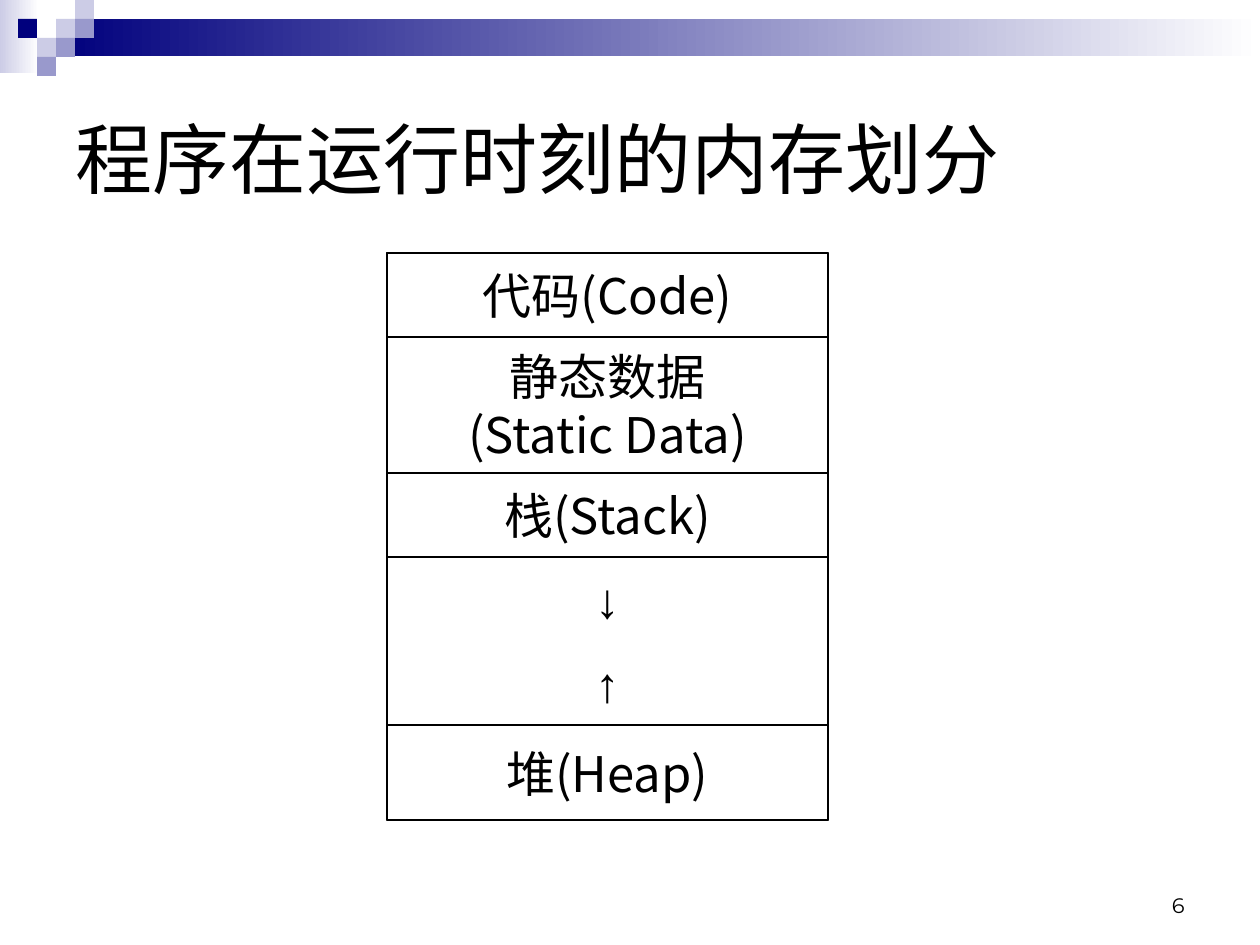
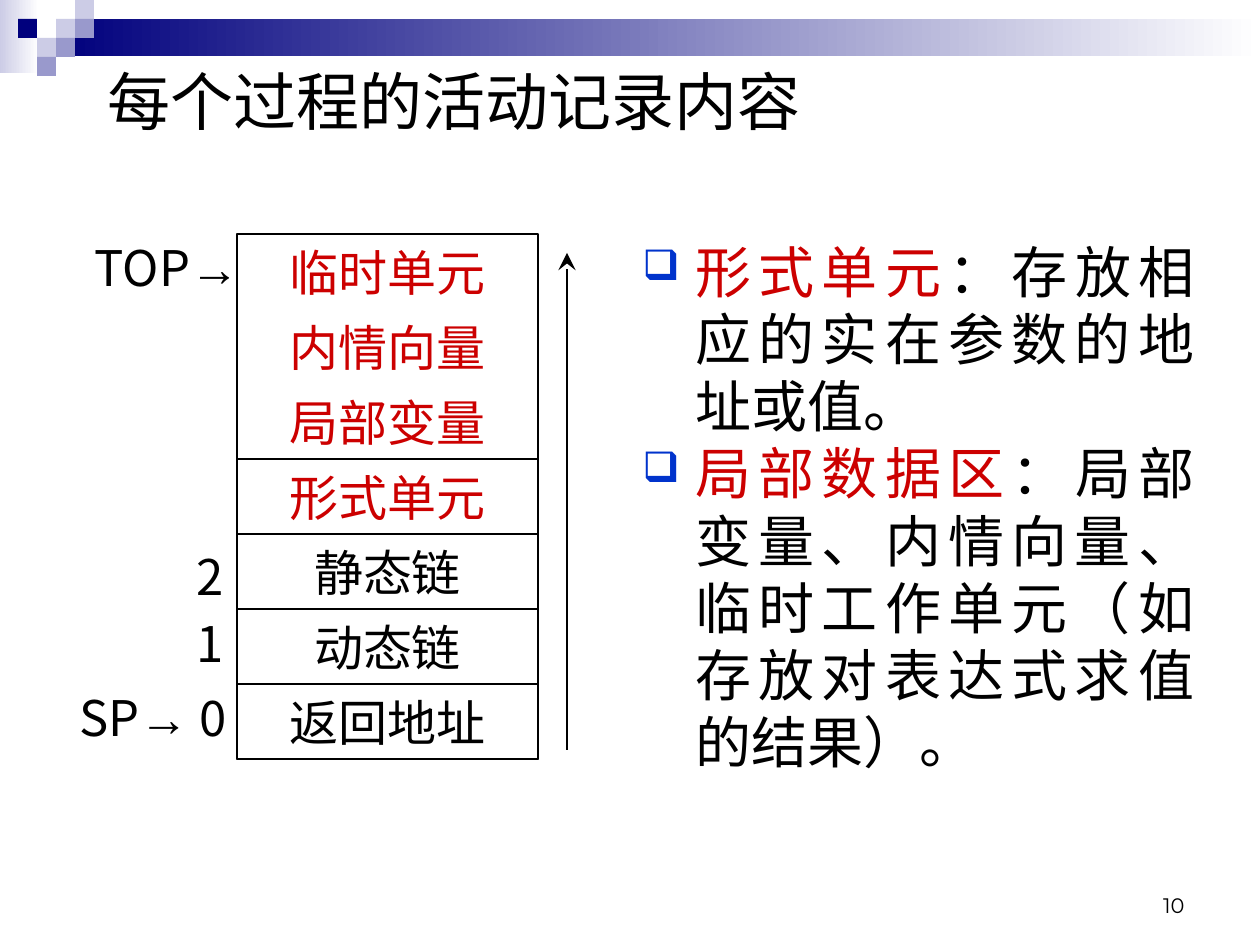
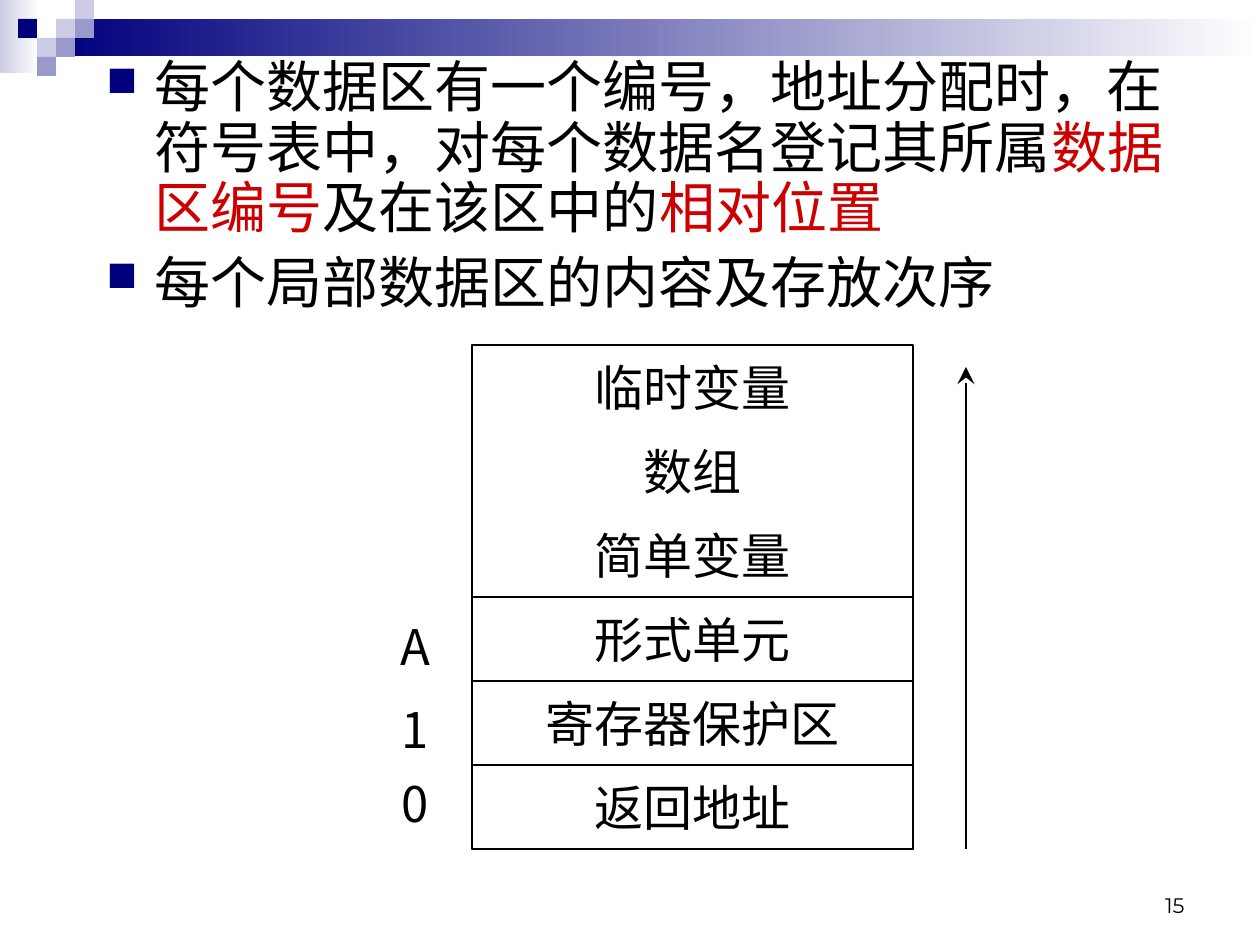
from dataclasses import dataclass

from pptx import Presentation
from pptx.dml.color import RGBColor as RGB
from pptx.enum.shapes import MSO_CONNECTOR as CONN, MSO_SHAPE as SHAPE
from pptx.enum.text import MSO_ANCHOR as ANCHOR, PP_ALIGN as ALIGN
from pptx.oxml.ns import qn
from pptx.util import Pt
from lxml.etree import SubElement as Sub

EMU_PER_PX = 914400 / 126


@dataclass(frozen=True)
class Theme:
    black: str = "000000"
    white: str = "FFFFFF"
    navy: str = "00007D"
    violet: str = "9999CC"
    pale: str = "CCCCE6"
    red: str = "CC0000"
    blue: str = "0033CC"
    cjk: str = "Noto Sans CJK SC"
    sans: str = "Arial"
    serif: str = "Times New Roman"
    number: str = "Montserrat"
    title: int = 44
    small_title: int = 36
    body: int = 32
    cell: int = 28
    page: int = 12
    line: float = 1.5


T = Theme()
CELL = {"size": T.cell, "font": T.cjk}
RED_CELL = CELL | {"color": T.red}
ARROW = {"size": T.cell, "font": T.sans, "east": T.sans}


def px(*lengths):
    return [round(n * EMU_PER_PX) for n in lengths]


def set_all(obj, values):
    for name, value in values.items():
        setattr(obj, name, value)


# Text
def add_run(p, text, size, font, color=T.black, east=T.cjk):
    r = p.add_run()
    r.text = text
    set_all(r.font, {"size": Pt(size), "name": font})
    r.font.color.rgb = RGB.from_string(color)
    Sub(r.font._element, qn("a:ea"), typeface=east)


def add_bullet(p, char, color, indent):
    pPr = p._p.get_or_add_pPr()
    width = px(indent)[0]
    pPr.set("marL", str(width))
    pPr.set("indent", str(-width))
    Sub(Sub(pPr, qn("a:buClr")), qn("a:srgbClr"), val=color)
    Sub(pPr, qn("a:buSzPct"), val="75000")
    Sub(pPr, qn("a:buChar"), char=char)


def fill_text(sp, paragraphs, frame=None, para=None, bullet=None):
    """Each paragraph is a list of (text, style) runs."""
    tf = sp.text_frame
    set_all(tf, {"word_wrap": True, "vertical_anchor": ANCHOR.TOP} | (frame or {}))
    for i, runs in enumerate(paragraphs):
        p = tf.add_paragraph() if i else tf.paragraphs[0]
        if bullet:
            add_bullet(p, **bullet)
        set_all(p, {"alignment": ALIGN.LEFT} | (para or {}))
        for text, style in runs:
            add_run(p, text, **style)
    return tf


def add_text(s, box, paragraphs, **formats):
    return fill_text(s.shapes.add_textbox(*px(*box)), paragraphs, **formats)


def add_title(s, box, text, size):
    add_text(s, box, [[(text, {"size": size, "font": T.sans})]],
             frame={"vertical_anchor": ANCHOR.MIDDLE})


def label_format(align=ALIGN.CENTER):
    return {"frame": {"word_wrap": False, "vertical_anchor": ANCHOR.MIDDLE},
            "para": {"alignment": align}}


def add_label(s, box, runs, align=ALIGN.CENTER):
    add_text(s, box, [runs], **label_format(align))


# Shapes
def add_rect(s, box, colors=()):
    """No colour gives an outlined box, one a solid, two a gradient."""
    sp = s.shapes.add_shape(SHAPE.RECTANGLE, *px(*box))
    sp.shadow.inherit = False
    if not colors:
        sp.fill.background()
        sp.line.color.rgb = RGB.from_string(T.black)
        sp.line.width = Pt(T.line)
        return sp
    sp.line.fill.background()
    if len(colors) == 1:
        sp.fill.solid()
        sp.fill.fore_color.rgb = RGB.from_string(colors[0])
    else:
        sp.fill.gradient()
        sp.fill.gradient_angle = 0
        for stop, color in zip(sp.fill.gradient_stops, colors):
            stop.color.rgb = RGB.from_string(color)
    return sp


def add_up_arrow(s, x, bottom, top):
    line = s.shapes.add_connector(CONN.STRAIGHT, *px(x, bottom, x, top))
    line.line.color.rgb = RGB.from_string(T.black)
    line.line.width = Pt(T.line)
    Sub(line.line._get_or_add_ln(), qn("a:tailEnd"), type="stealth", w="lg", len="lg")
    Sub(line._element.spPr, qn("a:effectLst"))


def add_memory(s, left, top, width, rows):
    """Stack rows of (lines, style, height, boxed) inside one frame."""
    y = top
    for lines, style, height, boxed in rows:
        box = (left, y, width, height)
        sp = add_rect(s, box) if boxed else s.shapes.add_textbox(*px(*box))
        fill_text(sp, [[(line, style)] for line in lines], **label_format())
        y += height
    add_rect(s, (left, top, width, y - top))


# Shared band, corner squares and page number
def new_slide(prs, page):
    s = prs.slides.add_slide(prs.slide_layouts[6])
    add_rect(s, (0, 0, 39, 73), (T.pale, T.white))
    add_rect(s, (57, 19, 1203, 37), (T.navy, T.white))
    unit = 19
    for col, row, color in ((3, 1, T.pale), (4, 0, T.pale), (4, 1, T.violet),
                            (2, 2, T.pale), (1, 1, T.navy), (3, 2, T.violet),
                            (2, 3, T.violet)):
        add_rect(s, (col * unit - 1, row * unit, unit, unit), (color,))
    add_text(s, (903, 861, 294, 63),
             [[(str(page), {"size": T.page, "font": T.number})]],
             frame={"vertical_anchor": ANCHOR.BOTTOM},
             para={"alignment": ALIGN.RIGHT})
    return s


def runtime_memory(prs):
    s = new_slide(prs, 6)
    add_title(s, (63, 63, 1134, 189), "程序在运行时刻的内存划分", T.title)
    add_memory(s, 387, 253, 441, [
        (["代码(Code)"], CELL, 84, True),
        (["静态数据", "(Static Data)"], CELL, 136, True),
        (["栈(Stack)"], CELL, 84, True),
        (["↓"], ARROW, 84, False),
        (["↑"], ARROW, 84, False),
        (["堆(Heap)"], CELL, 95, True),
    ])


def activation_record(prs):
    s = new_slide(prs, 10)
    add_title(s, (95, 21, 1071, 158), "每个过程的活动记录内容", T.small_title)
    body = {"size": T.body, "font": T.serif}
    key = body | {"color": T.red}
    add_text(s, (630, 231, 577, 630), [
        [("形式单元", key), ("：存放相应的实在参数的地址或值。", body)],
        [("局部数据区", key),
         ("：局部变量、内情向量、临时工作单元（如存放对表达式求值的结果）。", body)],
    ], para={"alignment": ALIGN.JUSTIFY},
        bullet={"char": "❑", "color": T.blue, "indent": 53})
    open_rows = ["临时单元", "内情向量", "局部变量"]
    links = ["静态链", "动态链", "返回地址"]
    add_memory(s, 237, 234, 301,
               [([name], RED_CELL, 75, False) for name in open_rows]
               + [(["形式单元"], RED_CELL, 75, True)]
               + [([name], CELL, 75, True) for name in links])
    # Pointer labels, wide enough for one line each
    add_label(s, (67, 234, 200, 66), [("TOP", CELL), ("→", ARROW)])
    for y, offset in ((543, "2"), (610, "1")):
        add_label(s, (157, y, 79, 66), [(offset, CELL)], ALIGN.RIGHT)
    add_label(s, (53, 684, 200, 66), [("SP", CELL), ("→", ARROW), (" 0", CELL)])
    add_up_arrow(s, 567, 750, 253)


def data_area(prs):
    s = new_slide(prs, 15)
    body = {"size": T.body, "font": T.sans}
    key = body | {"color": T.red}
    tf = add_text(s, (94, 53, 1102, 281), [
        [("每个数据区有一个编号，地址分配时，在符号表中，对每个数据名登记其所属", body),
         ("数据区编号", key), ("及在该区中的", body), ("相对位置", key)],
        [("每个局部数据区的内容及存放次序", body)],
    ], para={"line_spacing": 0.9},
        bullet={"char": "■", "color": T.navy, "indent": 48})
    tf.paragraphs[1].space_before = Pt(8)
    open_rows = ["临时变量", "数组", "简单变量"]
    boxed_rows = ["形式单元", "寄存器保护区", "返回地址"]
    add_memory(s, 472, 345, 441,
               [([name], CELL, 84, name in boxed_rows)
                for name in open_rows + boxed_rows])
    for y, offset in ((609, "A"), (692, "1"), (766, "0")):
        add_label(s, (357, y, 116, 73), [(offset, CELL)])
    add_up_arrow(s, 966, 849, 367)


def main():
    prs = Presentation()
    prs.slide_width, prs.slide_height = px(1260, 945)
    for build in (runtime_memory, activation_record, data_area):
        build(prs)
    prs.save("out.pptx")


if __name__ == "__main__":
    main()
